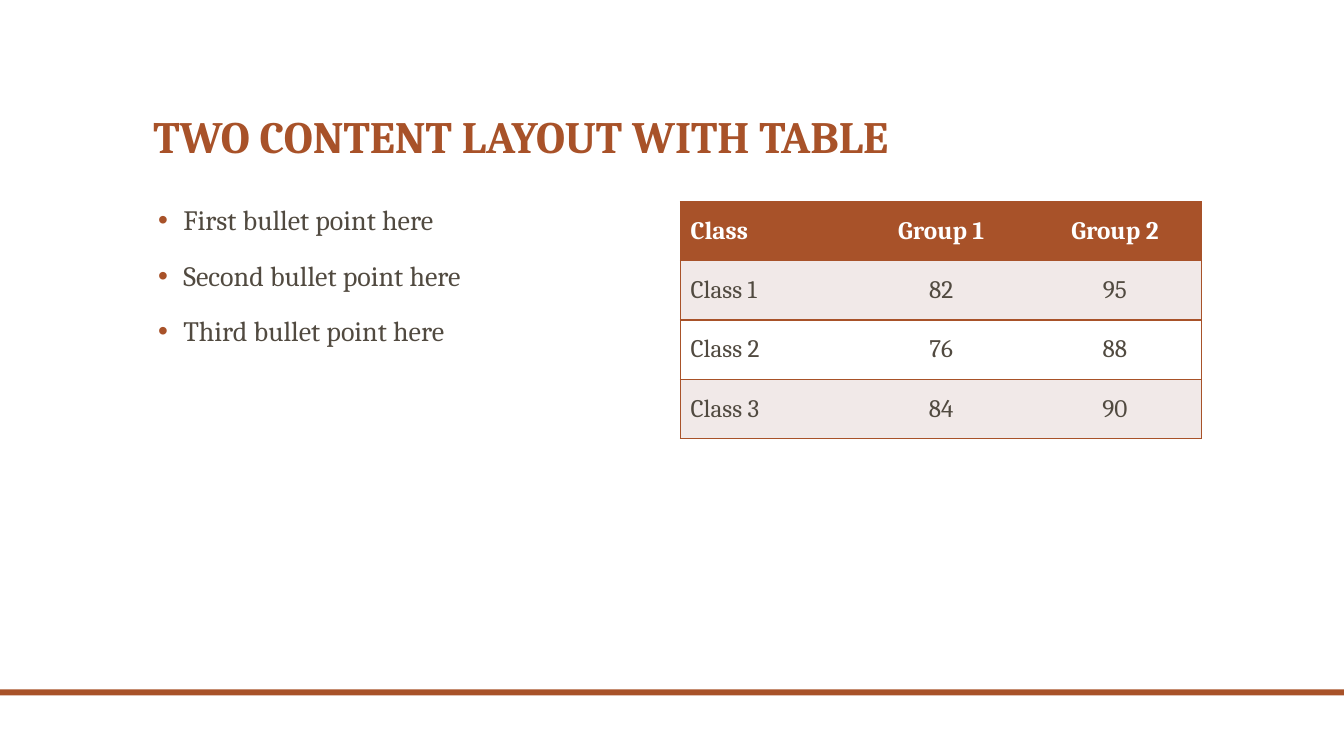
from lxml import etree
from pptx import Presentation
from pptx.dml.color import RGBColor
from pptx.enum.shapes import MSO_SHAPE as Shape
from pptx.enum.text import MSO_ANCHOR as Anchor, MSO_AUTO_SIZE as AutoSize, PP_ALIGN as Align
from pptx.oxml.ns import qn
from pptx.util import Inches, Pt

RUST = RGBColor(0xA8, 0x52, 0x29)
BROWN = RGBColor(0x51, 0x4A, 0x40)
BLUSH = RGBColor(0xF1, 0xE9, 0xE8)
WHITE = RGBColor(0xFF, 0xFF, 0xFF)
FONT = "Cambria"

LEFT, CONTENT_TOP = Inches(1.42), Inches(2)
CONTENT_WIDTH = Inches(5.17)
POINTS = ["First bullet point here", "Second bullet point here", "Third bullet point here"]
SCORES = [
    ("Class", "Group 1", "Group 2"),
    ("Class 1", "82", "95"),
    ("Class 2", "76", "88"),
    ("Class 3", "84", "90"),
]


def style(paragraph, size, color, bold=False):
    font = paragraph.font
    font.name, font.size, font.bold = FONT, Pt(size), bold
    font.color.rgb = color


def set_borders(cell, visible_sides):
    """Draw the named sides (L, R, T, B) in rust and clear the others."""
    properties = cell._tc.get_or_add_tcPr()
    for position, side in enumerate("LRTB"):
        line = etree.Element(qn(f"a:ln{side}"), w=str(Pt(1)))
        if side in visible_sides:
            fill = etree.SubElement(line, qn("a:solidFill"))
            etree.SubElement(fill, qn("a:srgbClr"), val=str(RUST))
        else:
            etree.SubElement(line, qn("a:noFill"))
        properties.insert(position, line)


prs = Presentation()
prs.slide_width, prs.slide_height = Inches(13.33), Inches(7.5)
slide = prs.slides.add_slide(prs.slide_layouts[5])

# Footer band
band = slide.shapes.add_shape(Shape.RECTANGLE, 0, Inches(6.84), prs.slide_width, Inches(0.06))
band.shadow.inherit = False
band.fill.solid()
band.fill.fore_color.rgb = RUST
band.line.fill.background()

# Title
title = slide.shapes.title
title.left, title.top, title.width, title.height = LEFT, Inches(0.42), Inches(10.5), Inches(1.25)
title.text_frame.text = "TWO CONTENT LAYOUT WITH TABLE"
title.text_frame.auto_size = AutoSize.NONE
title.text_frame.vertical_anchor = Anchor.BOTTOM
heading = title.text_frame.paragraphs[0]
heading.alignment = Align.LEFT
heading.line_spacing = 0.9
style(heading, 32, RUST, bold=True)

# Bullet points
bullets = slide.shapes.add_textbox(LEFT, CONTENT_TOP, CONTENT_WIDTH, Inches(4.5)).text_frame
bullets.word_wrap = True
bullets.text = "\n".join(POINTS)
for point in bullets.paragraphs:
    point.line_spacing = 0.9
    point.space_before = Pt(18)
    style(point, 20, BROWN)
    properties = point._p.get_or_add_pPr()
    properties.set("marL", str(Inches(0.3)))
    properties.set("indent", str(Inches(-0.25)))
    bullet_color = etree.Element(qn("a:buClr"))
    etree.SubElement(bullet_color, qn("a:srgbClr"), val=str(RUST))
    bullet_font = etree.Element(qn("a:buFont"), typeface="Arial")
    bullet_char = etree.Element(qn("a:buChar"), char="•")
    # Bullet elements must come before the default run properties
    for element in (bullet_color, bullet_font, bullet_char):
        properties.find(qn("a:defRPr")).addprevious(element)

# Score table
row_count, column_count = len(SCORES), len(SCORES[0])
table = slide.shapes.add_table(
    row_count, column_count, Inches(6.75), CONTENT_TOP, CONTENT_WIDTH, Inches(2.35)
).table
for r, row in enumerate(SCORES):
    is_header = r == 0
    for c, value in enumerate(row):
        cell = table.cell(r, c)
        cell.text = value
        cell.vertical_anchor = Anchor.MIDDLE
        cell.fill.solid()
        cell.fill.fore_color.rgb = RUST if is_header else BLUSH if r % 2 else WHITE
        label = cell.text_frame.paragraphs[0]
        label.alignment = Align.CENTER if c else Align.LEFT
        style(label, 18, WHITE if is_header else BROWN, bold=is_header)
        sides = "TB"
        if c == 0:
            sides += "L"
        if c == column_count - 1:
            sides += "R"
        set_borders(cell, sides)

prs.save("out.pptx")
